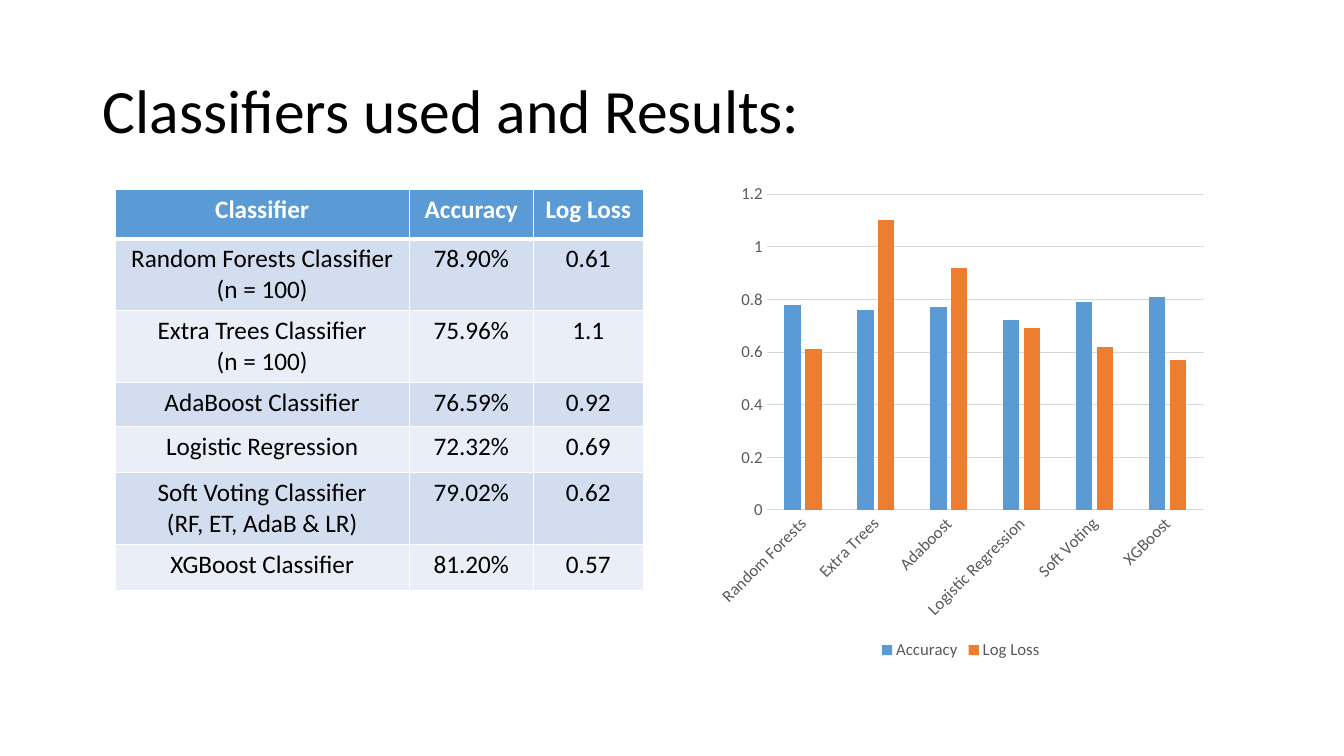
from lxml import etree
from pptx import Presentation
from pptx.chart.data import CategoryChartData
from pptx.dml.color import RGBColor
from pptx.enum.chart import XL_CHART_TYPE as ChartType
from pptx.enum.chart import XL_LEGEND_POSITION as LegendPosition
from pptx.enum.chart import XL_TICK_MARK as TickMark
from pptx.enum.text import MSO_ANCHOR as Anchor
from pptx.enum.text import MSO_AUTO_SIZE as AutoSize
from pptx.enum.text import PP_ALIGN as Align
from pptx.oxml.ns import qn
from pptx.util import Inches, Pt

BLUE, ORANGE = "5B9BD5", "ED7D31"
BANDS = ["EAEFF7", "D2DEEF"]
BLACK, WHITE, GREY, GRID = "000000", "FFFFFF", "595959", "D9D9D9"

RESULTS = [
    ("Classifier", "Accuracy", "Log Loss"),
    ("Random Forests Classifier\n(n = 100)", "78.90%", "0.61"),
    ("Extra Trees Classifier\n(n = 100)", "75.96%", "1.1"),
    ("AdaBoost Classifier", "76.59%", "0.92"),
    ("Logistic Regression", "72.32%", "0.69"),
    ("Soft Voting Classifier\n(RF, ET, AdaB & LR)", "79.02%", "0.62"),
    ("XGBoost Classifier", "81.20%", "0.57"),
]
COLUMN_WIDTHS = [2.92, 1.23, 1.09]
ROW_HEIGHTS = [0.49, 0.68, 0.68, 0.44, 0.46, 0.68, 0.46]

CATEGORIES = ["Random Forests", "Extra Trees", "Adaboost",
              "Logistic Regression", "Soft Voting", "XGBoost"]
SERIES = [
    ("Accuracy", [0.78, 0.76, 0.77, 0.72, 0.79, 0.81], BLUE),
    ("Log Loss", [0.61, 1.1, 0.92, 0.69, 0.62, 0.57], ORANGE),
]


def rgb(color):
    return RGBColor.from_string(color)


class SlideBuilder:
    def __init__(self, slide, font_name="Calibri"):
        self.slide = slide
        self.font_name = font_name

    def style_font(self, font, size, color, bold=False):
        font.name = self.font_name
        font.size = Pt(size)
        font.bold = bold
        font.color.rgb = rgb(color)

    def title(self, text, left, top, width, height):
        shape = self.slide.shapes.title
        shape.left, shape.top = Inches(left), Inches(top)
        shape.width, shape.height = Inches(width), Inches(height)
        frame = shape.text_frame
        frame.text = text
        frame.word_wrap = True
        frame.auto_size = AutoSize.NONE
        frame.vertical_anchor = Anchor.MIDDLE
        paragraph = frame.paragraphs[0]
        paragraph.alignment = Align.LEFT
        paragraph.line_spacing = 0.9
        self.style_font(paragraph.runs[0].font, 44, BLACK)

    def borders(self, cell, top, bottom):
        properties = cell._tc.get_or_add_tcPr()
        widths = {"lnL": 1, "lnR": 1, "lnT": top, "lnB": bottom}
        for index, (side, width) in enumerate(widths.items()):
            line = etree.Element(qn(f"a:{side}"), w=str(Pt(width)))
            fill = etree.SubElement(line, qn("a:solidFill"))
            etree.SubElement(fill, qn("a:srgbClr"), val=WHITE)
            properties.insert(index, line)

    def table(self, rows, left, top, widths, heights):
        table = self.slide.shapes.add_table(
            len(rows), len(widths), Inches(left), Inches(top),
            Inches(sum(widths)), Inches(sum(heights))).table
        for column, width in zip(table.columns, widths):
            column.width = Inches(width)
        for row, height in zip(table.rows, heights):
            row.height = Inches(height)
        for row_index, values in enumerate(rows):
            header = row_index == 0
            for column_index, text in enumerate(values):
                cell = table.cell(row_index, column_index)
                cell.text = text
                cell.fill.solid()
                cell.fill.fore_color.rgb = rgb(BLUE if header else BANDS[row_index % 2])
                # A thicker rule separates the header from the body
                self.borders(cell, 3 if row_index == 1 else 1, 3 if header else 1)
                for paragraph in cell.text_frame.paragraphs:
                    paragraph.alignment = Align.CENTER
                    self.style_font(paragraph.runs[0].font, 18,
                                    WHITE if header else BLACK, header)

    def column_chart(self, categories, series, left, top, width, height):
        data = CategoryChartData()
        data.categories = categories
        for name, values, _ in series:
            data.add_series(name, values)
        chart = self.slide.shapes.add_chart(
            ChartType.COLUMN_CLUSTERED, Inches(left), Inches(top),
            Inches(width), Inches(height), data).chart
        chart.has_title = False
        self.style_font(chart.font, 10, BLACK)

        # Columns
        plot = chart.plots[0]
        plot.gap_width, plot.overlap = 219, -27
        plot.vary_by_categories = False
        for columns, (_, _, color) in zip(plot.series, series):
            columns.format.fill.solid()
            columns.format.fill.fore_color.rgb = rgb(color)

        # Axes
        for axis in (chart.category_axis, chart.value_axis):
            axis.major_tick_mark = axis.minor_tick_mark = TickMark.NONE
            self.style_font(axis.tick_labels.font, 12, GREY)
        chart.value_axis.format.line.fill.background()
        chart.value_axis.has_major_gridlines = True
        for line in (chart.category_axis.format.line,
                     chart.value_axis.major_gridlines.format.line):
            line.color.rgb = rgb(GRID)
            line.width = Pt(0.75)

        # Legend
        chart.has_legend = True
        chart.legend.position = LegendPosition.BOTTOM
        chart.legend.include_in_layout = False
        self.style_font(chart.legend.font, 12, GREY)


def main():
    presentation = Presentation()
    presentation.slide_width = Inches(13.33)
    presentation.slide_height = Inches(7.5)
    title_only = presentation.slide_layouts[5]
    builder = SlideBuilder(presentation.slides.add_slide(title_only))

    builder.title("Classifiers used and Results:", 0.92, 0.4, 11.5, 1.45)
    builder.table(RESULTS, 1.14, 1.88, COLUMN_WIDTHS, ROW_HEIGHTS)
    builder.column_chart(CATEGORIES, SERIES, 7.02, 1.73, 5.02, 4.86)

    presentation.save("out.pptx")


if __name__ == "__main__":
    main()
